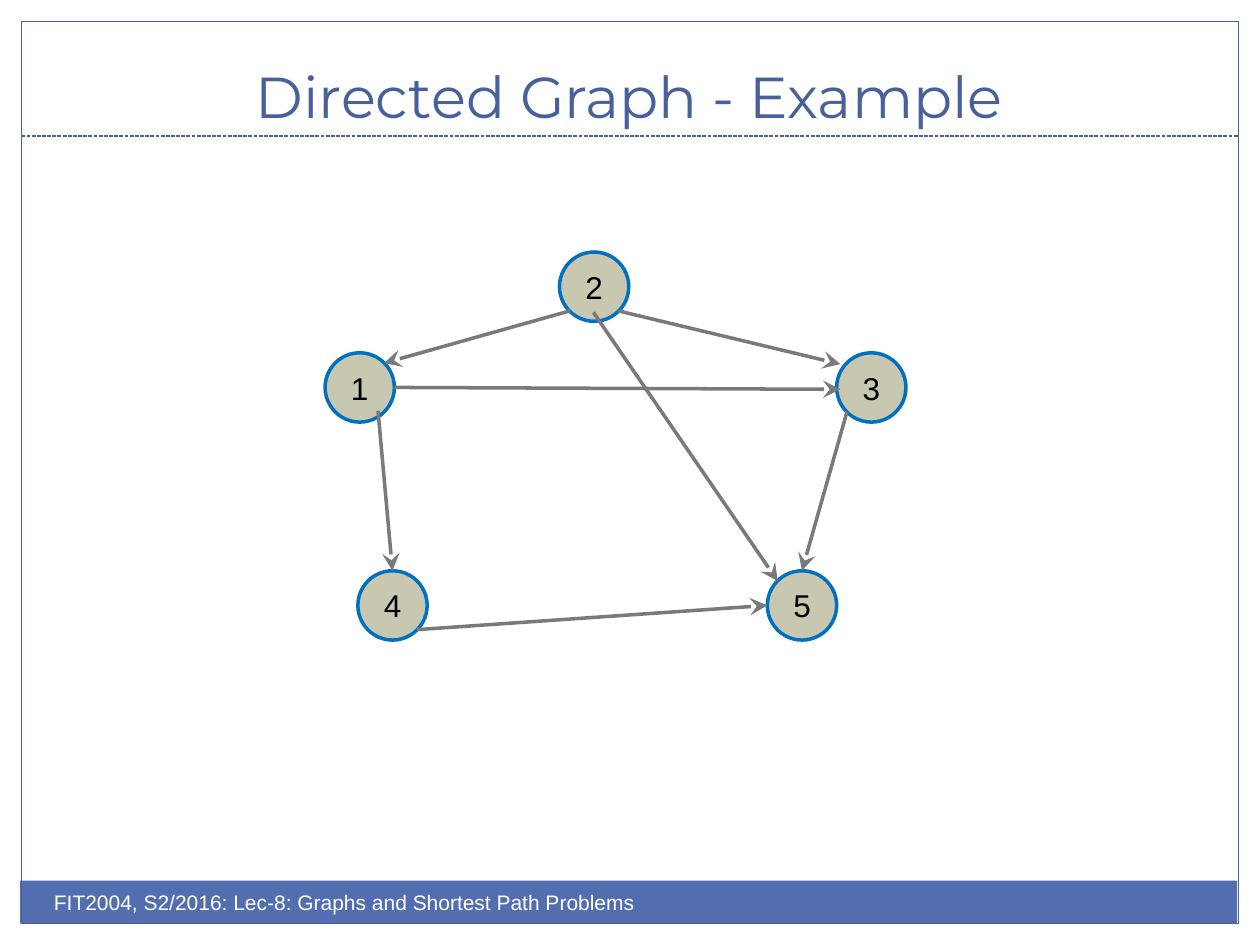
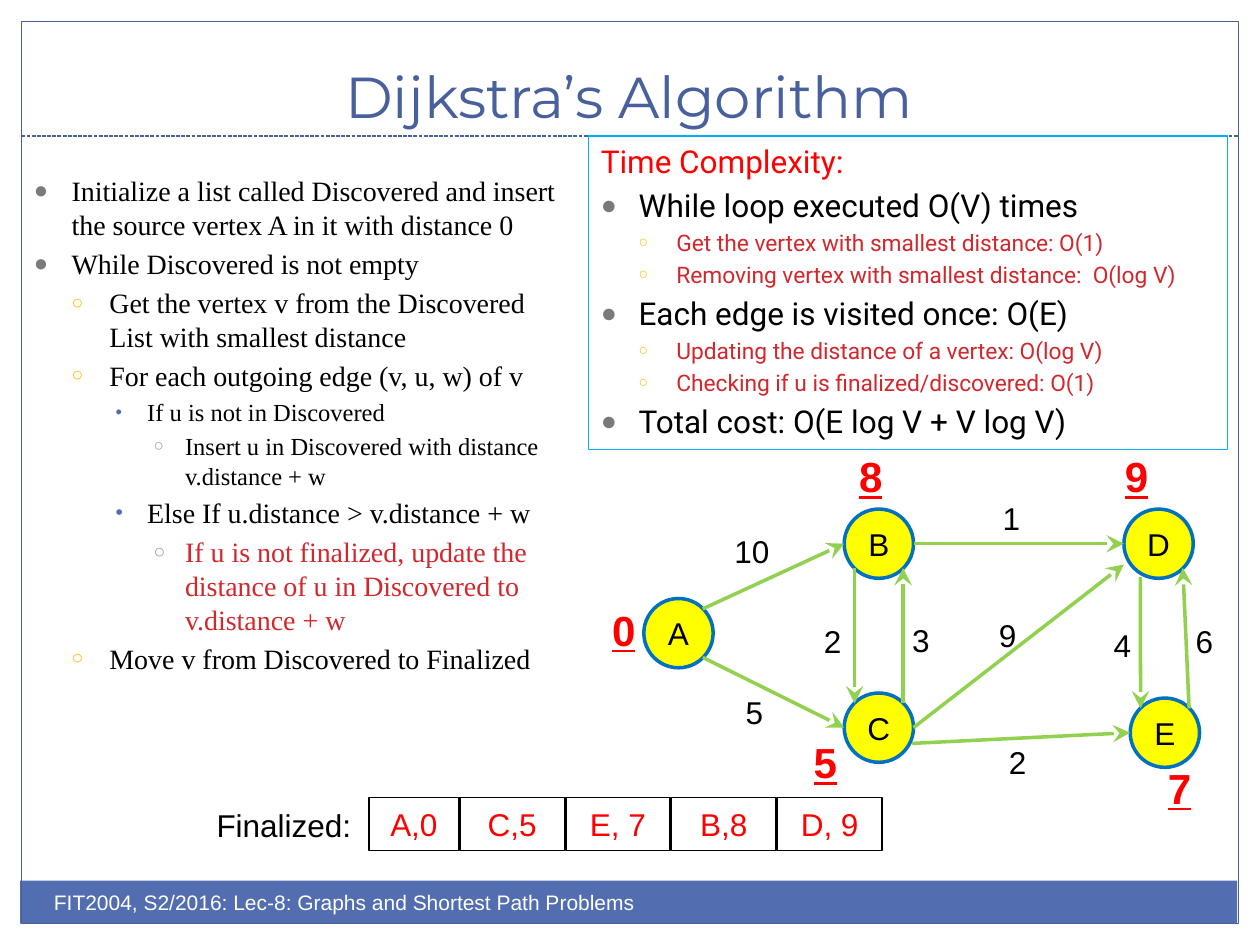
import pptx
import pptx.dml.color
import pptx.enum.dml
import pptx.enum.shapes
import pptx.enum.text
import pptx.oxml.ns
import pptx.util
from lxml import etree

Inches = pptx.util.Inches
Pt = pptx.util.Pt
SHAPE = pptx.enum.shapes.MSO_SHAPE
ALIGN = pptx.enum.text.PP_ALIGN
ANCHOR = pptx.enum.text.MSO_ANCHOR

BLUE, BAND, BLACK, WHITE = "48609B", "526DB0", "000000", "FFFFFF"
RED, CRIMSON, NODE_LINE = "FF0000", "D1282E", "0070C0"
FOOTER = "FIT2004, S2/2016: Lec-8: Graphs and Shortest Path Problems"

# Node diameter, and where an edge meets a node as a fraction of the diameter
DIAMETER = 0.55
SITES = {"top": (0.5, 0), "left": (0, 0.5), "right": (1, 0.5),
         "top left": (0.15, 0.15), "top right": (0.85, 0.15),
         "bottom left": (0.15, 0.85), "bottom right": (0.85, 0.85)}

# Nodes: left, top. Edges: (node, site) or a free point at each end.
DIRECTED = {
    "nodes": {"1": (2.58, 2.8), "2": (4.44, 2), "3": (6.64, 2.8),
              "4": (2.84, 4.53), "5": (6.09, 4.53)},
    "edges": [
        (("2", "bottom left"), ("1", "top right")),
        (("2", "bottom right"), (6.67, 2.89)),
        ((3, 3.26), ("4", "top")),
        (("4", "bottom right"), ("5", "left")),
        (("1", "right"), (6.67, 3.09)),
        (("3", "bottom left"), ("5", "top")),
        ((4.71, 2.48), ("5", "top left")),
    ],
    "fill": "C8C8B1", "line": "7A7A7A",
}
WEIGHTED = {
    "nodes": {"A": (5.11, 4.75), "B": (6.7, 4.04), "C": (6.7, 5.5),
              "D": (8.92, 4.04), "E": (8.97, 5.54)},
    "edges": [
        (("A", "top right"), ("B", "left")),
        (("A", "bottom right"), ("C", "left")),
        (("B", "bottom left"), ("C", "top left")),
        (("B", "right"), ("D", "left")),
        ((9.05, 4.58), ("E", "top left")),
        (("E", "top right"), ("D", "bottom right")),
        (("C", "right"), (8.92, 4.48)),
        (("C", "top right"), ("B", "bottom right")),
        ((7.24, 5.9), ("E", "left")),
    ],
    "fill": "FFFF00", "line": "92D050",
}
WEIGHTS = [("10", 5.73, 4.17), ("5", 5.82, 5.45), ("2", 6.44, 4.89),
           ("3", 7.14, 4.88), ("1", 7.86, 3.91), ("9", 7.83, 4.84),
           ("2", 7.91, 5.85), ("4", 8.74, 4.92), ("6", 9.39, 4.89)]
DISTANCES = [("0", 4.76, 4.75), ("5", 6.36, 5.8), ("8", 6.72, 3.53),
             ("9", 8.83, 3.53), ("7", 9.17, 6)]
FINALIZED = [("A,0", 0.71), ("C,5", 0.83), ("E, 7", 0.83), ("B,8", 0.83), ("D, 9", 0.83)]

# Bullet levels: left margin, hanging indent, character, colour, size in percent
LEVELS = [(0.3, 0.3, "●", "7A7A7A", 85), (0.6, 0.3, "○", "F5C201", 70),
          (0.9, 0.25, "•", BAND, 75), (1.2, 0.25, "○", "989AAC", 70)]
# Paragraphs: level (None for no bullet), size, colour, text
STEPS = [
    (0, 16, BLACK, "Initialize a list called Discovered and insert the source vertex A in it with distance 0"),
    (0, 16, BLACK, "While Discovered is not empty"),
    (1, 16, BLACK, "Get the vertex v from the Discovered List with smallest distance"),
    (1, 16, BLACK, "For each outgoing edge (v, u, w) of v"),
    (2, 14, BLACK, "If u is not in Discovered"),
    (3, 14, BLACK, "Insert u in Discovered with distance v.distance + w"),
    (2, 16, BLACK, "Else If u.distance > v.distance + w"),
    (3, 16, CRIMSON, "If u is not finalized, update the distance of u in Discovered to v.distance + w"),
    (1, 16, BLACK, "Move v from Discovered to Finalized"),
]
COSTS = [
    (None, 18, RED, "Time Complexity:"),
    (0, 18, BLACK, "While loop executed O(V) times"),
    (1, 13, CRIMSON, "Get the vertex with smallest distance: O(1)"),
    (1, 13, CRIMSON, "Removing vertex with smallest distance:  O(log V)"),
    (0, 18, BLACK, "Each edge is visited once: O(E)"),
    (1, 13, CRIMSON, "Updating the distance of a vertex: O(log V)"),
    (1, 13, CRIMSON, "Checking if u is finalized/discovered: O(1)"),
    (0, 18, BLACK, "Total cost: O(E log V + V log V)"),
]


def rgb(hex_colour):
    return pptx.dml.color.RGBColor.from_string(hex_colour)


def add_xml(parent, tag, **attributes):
    return etree.SubElement(parent, pptx.oxml.ns.qn(tag), attributes)


def add_figure(page, kind, at, fill=None, line=None, width=0.75):
    figure = page.shapes.add_shape(kind, *map(Inches, at))
    figure.shadow.inherit = False
    if fill:
        figure.fill.solid()
        figure.fill.fore_color.rgb = rgb(fill)
    else:
        figure.fill.background()
    if line:
        figure.line.color.rgb = rgb(line)
        figure.line.width = Pt(width)
    else:
        figure.line.fill.background()
    return figure


def add_line(page, start, end, colour, width):
    line = page.shapes.add_connector(
        pptx.enum.shapes.MSO_CONNECTOR.STRAIGHT, *map(Inches, (*start, *end)))
    line.line.color.rgb = rgb(colour)
    line.line.width = Pt(width)
    add_xml(line._element.spPr, "a:effectLst")
    return line


def style_span(para, text, size, font, colour, bold=False, underline=False):
    span = para.add_run()
    span.text = text
    span.font.size = Pt(size)
    span.font.name = font
    span.font.color.rgb = rgb(colour)
    span.font.bold = bold
    span.font.underline = underline


def write(box, text, size=18, font="Arial", colour=BLACK, align=ALIGN.LEFT,
          anchor=ANCHOR.TOP, wrap=True, inset=None, **style):
    """Put one paragraph of text into a box or shape."""
    frame = box.text_frame
    frame.word_wrap = wrap
    frame.vertical_anchor = anchor
    if inset is not None:
        frame.margin_left = frame.margin_right = Inches(inset)
        frame.margin_top = frame.margin_bottom = Inches(inset)
    para = frame.paragraphs[0]
    para.alignment = align
    style_span(para, text, size, font, colour, **style)


def add_text(page, text, at, **style):
    write(page.shapes.add_textbox(*map(Inches, at)), text, **style)


def add_label(page, text, at, **style):
    """Add a short text that stays on one line in a box that fits it."""
    box = page.shapes.add_textbox(*map(Inches, at))
    write(box, text, wrap=False, **style)
    box.text_frame.auto_size = pptx.enum.text.MSO_AUTO_SIZE.SHAPE_TO_FIT_TEXT


def write_outline(box, items, font):
    """Fill a box with bulleted paragraphs."""
    frame = box.text_frame
    frame.word_wrap = True
    frame.vertical_anchor = ANCHOR.TOP
    for index, (level, size, colour, text) in enumerate(items):
        para = frame.add_paragraph() if index else frame.paragraphs[0]
        para.alignment = ALIGN.LEFT
        if level is not None:
            margin, hanging, character, bullet_colour, percent = LEVELS[level]
            para.level = level
            properties = para._p.get_or_add_pPr()
            properties.set("marL", str(Inches(margin)))
            properties.set("indent", str(-Inches(hanging)))
            add_xml(add_xml(properties, "a:buClr"), "a:srgbClr", val=bullet_colour)
            add_xml(properties, "a:buSzPct", val=str(percent * 1000))
            add_xml(properties, "a:buFont", typeface="Arial")
            add_xml(properties, "a:buChar", char=character)
        if index:
            para.space_before = Pt(size * 0.2)
        style_span(para, text, size, font, colour)


def add_page(deck, title):
    """Add a page with the shared frame, title and footer."""
    page = deck.slides.add_slide(deck.slide_layouts[6])
    add_figure(page, SHAPE.RECTANGLE, (0.16, 6.99, 9.66, 0.34), fill=BAND)
    add_figure(page, SHAPE.RECTANGLE, (0.17, 0.17, 9.66, 7.16), line=BLUE)
    rule = add_line(page, (0.17, 1.08), (9.83, 1.08), BLUE, 0.75)
    rule.line.dash_style = pptx.enum.dml.MSO_LINE.SQUARE_DOT
    add_text(page, title, (0.33, 0.25, 9.33, 0.83), size=33, font="Montserrat",
             colour=BLUE, align=ALIGN.CENTER, anchor=ANCHOR.BOTTOM)
    add_text(page, FOOTER, (0.33, 7.01, 5, 0.4), size=12, colour=WHITE)
    return page


def end_point(nodes, end):
    """Turn (node, site) into coordinates; a free point stays as it is."""
    if end[0] not in nodes:
        return end
    (left, top), (across, down) = nodes[end[0]], SITES[end[1]]
    return left + across * DIAMETER, top + down * DIAMETER


def draw_graph(page, graph):
    nodes = graph["nodes"]
    for name, (left, top) in nodes.items():
        node = add_figure(page, SHAPE.OVAL, (left, top, DIAMETER, DIAMETER),
                          fill=graph["fill"], line=NODE_LINE, width=2)
        write(node, name, align=ALIGN.CENTER, anchor=ANCHOR.MIDDLE, wrap=False, inset=0)
    for start, end in graph["edges"]:
        edge = add_line(page, end_point(nodes, start), end_point(nodes, end),
                        graph["line"], 2)
        add_xml(edge.line._get_or_add_ln(), "a:tailEnd", type="stealth", w="lg", len="lg")


def build_directed(deck):
    draw_graph(add_page(deck, "Directed Graph - Example"), DIRECTED)


def build_dijkstra(deck):
    page = add_page(deck, "Dijkstra’s Algorithm")
    steps = page.shapes.add_textbox(*map(Inches, (0.17, 1.33, 4.42, 3.92)))
    write_outline(steps, STEPS, "Times New Roman")
    costs = add_figure(page, SHAPE.RECTANGLE, (4.67, 1.08, 5.07, 2.49), line="00B0F0")
    write_outline(costs, COSTS, "Roboto")

    draw_graph(page, WEIGHTED)
    for weight, left, top in WEIGHTS:
        add_label(page, weight, (left, top, 0.2 + 0.14 * len(weight), 0.4))
    for distance, left, top in DISTANCES:
        add_label(page, distance, (left, top, 0.39, 0.5), size=24, colour=RED,
                  bold=True, underline=True)

    add_label(page, "Finalized:", (1.62, 6.35, 1.28, 0.4))
    left = 2.93
    for entry, width in FINALIZED:
        cell = add_figure(page, SHAPE.RECTANGLE, (left, 6.33, width, 0.42),
                          line=BLACK, width=1)
        write(cell, entry, colour=RED, align=ALIGN.CENTER, anchor=ANCHOR.MIDDLE)
        left += width + 0.01


def main():
    deck = pptx.Presentation()
    deck.slide_width, deck.slide_height = Inches(10), Inches(7.5)
    build_directed(deck)
    build_dijkstra(deck)
    deck.save("out.pptx")


if __name__ == "__main__":
    main()
